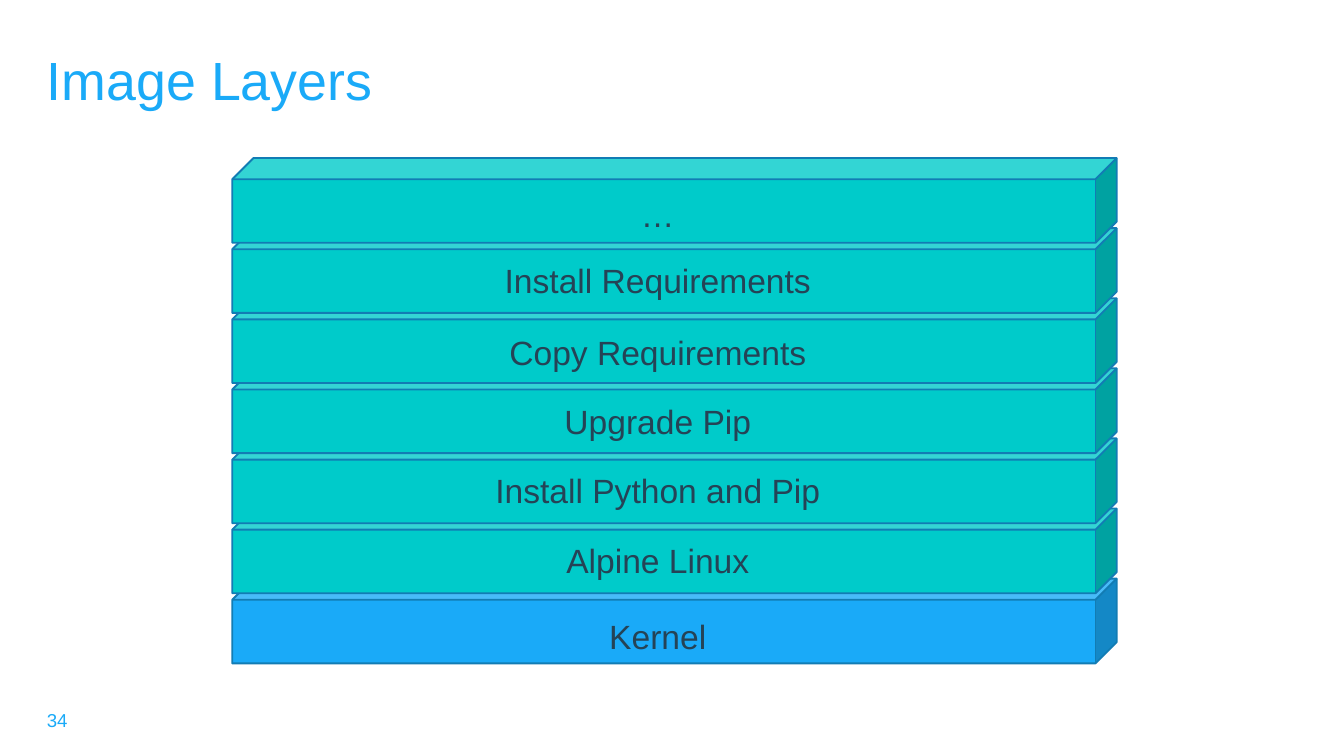
from pptx import Presentation
from pptx.dml.color import RGBColor
from pptx.enum.shapes import MSO_SHAPE
from pptx.enum.text import MSO_ANCHOR, PP_ALIGN
from pptx.util import Pt

CUBE = MSO_SHAPE.CUBE
TOP, MIDDLE = MSO_ANCHOR.TOP, MSO_ANCHOR.MIDDLE
LEFT, CENTER = PP_ALIGN.LEFT, PP_ALIGN.CENTER

COLORS = {
    "accent": "1AAAF8",
    "layer": "00CBCA",
    "edge": "127CB4",
    "label": "254356",
}
FONT = "Arial"

# Layers from the bottom up: label, fill, top of the label
LAYERS = [
    ("Kernel", "accent", 326.2),
    ("Alpine Linux", "layer", 285.8),
    ("Install Python and Pip", "layer", 248.4),
    ("Upgrade Pip", "layer", 211.2),
    ("Copy Requirements", "layer", 174.5),
    ("Install Requirements", "layer", 135.9),
    ("…", "layer", 100.1),
]
BOTTOM_LAYER_TOP = 310
LAYER_STEP = 37.55


def rgb(name):
    return RGBColor.from_string(COLORS[name])


def add_text(slide, text, left, top, width, height, *, size, color,
             align=LEFT, anchor=TOP):
    frame = slide.shapes.add_textbox(
        Pt(left), Pt(top), Pt(width), Pt(height)).text_frame
    frame.word_wrap = True
    frame.vertical_anchor = anchor
    paragraph = frame.paragraphs[0]
    paragraph.alignment = align
    run = paragraph.add_run()
    run.text = text
    run.font.name = FONT
    run.font.size = Pt(size)
    run.font.color.rgb = rgb(color)


def add_layer(slide, top, fill):
    layer = slide.shapes.add_shape(
        CUBE, Pt(124.4), Pt(top), Pt(473.8), Pt(45.4))
    layer.adjustments[0] = 0.25
    layer.shadow.inherit = False
    layer.fill.solid()
    layer.fill.fore_color.rgb = rgb(fill)
    layer.line.color.rgb = rgb("edge")
    layer.line.width = Pt(1)


def add_stack(slide):
    """Draw the cubes from the bottom up, then their labels on top."""
    for level, (_, fill, _) in enumerate(LAYERS):
        add_layer(slide, BOTTOM_LAYER_TOP - level * LAYER_STEP, fill)
    for label, _, label_top in LAYERS:
        add_text(slide, label, 131, label_top, 442.8, 29,
                 size=18, color="label", align=CENTER)


def main():
    deck = Presentation()
    deck.slide_width, deck.slide_height = Pt(720), Pt(405)
    slide = deck.slides.add_slide(deck.slide_layouts[6])
    add_text(slide, "34", 18, 375.1, 170, 21.6,
             size=10, color="accent", anchor=MIDDLE)
    add_text(slide, "Image Layers", 18, 21.6, 684, 37.4,
             size=28.8, color="accent")
    add_stack(slide)
    deck.save("out.pptx")


if __name__ == "__main__":
    main()
